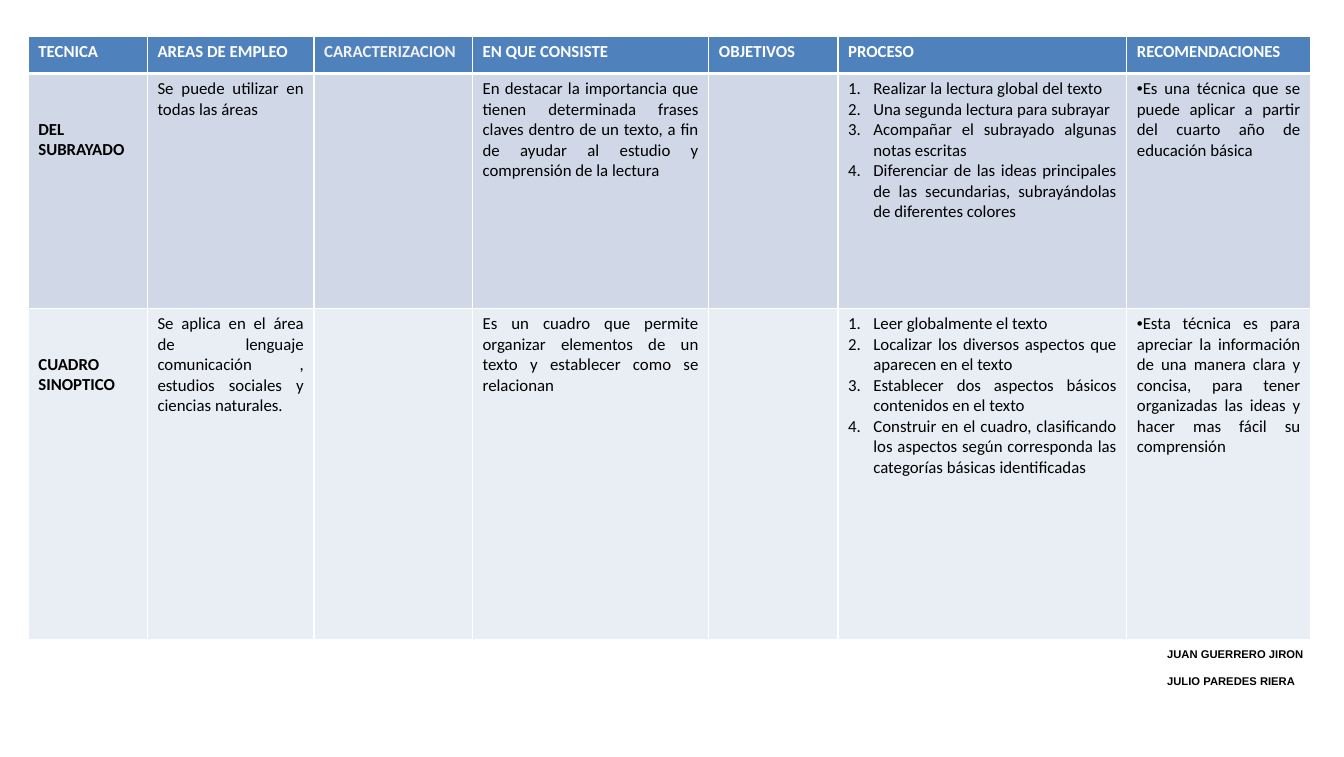
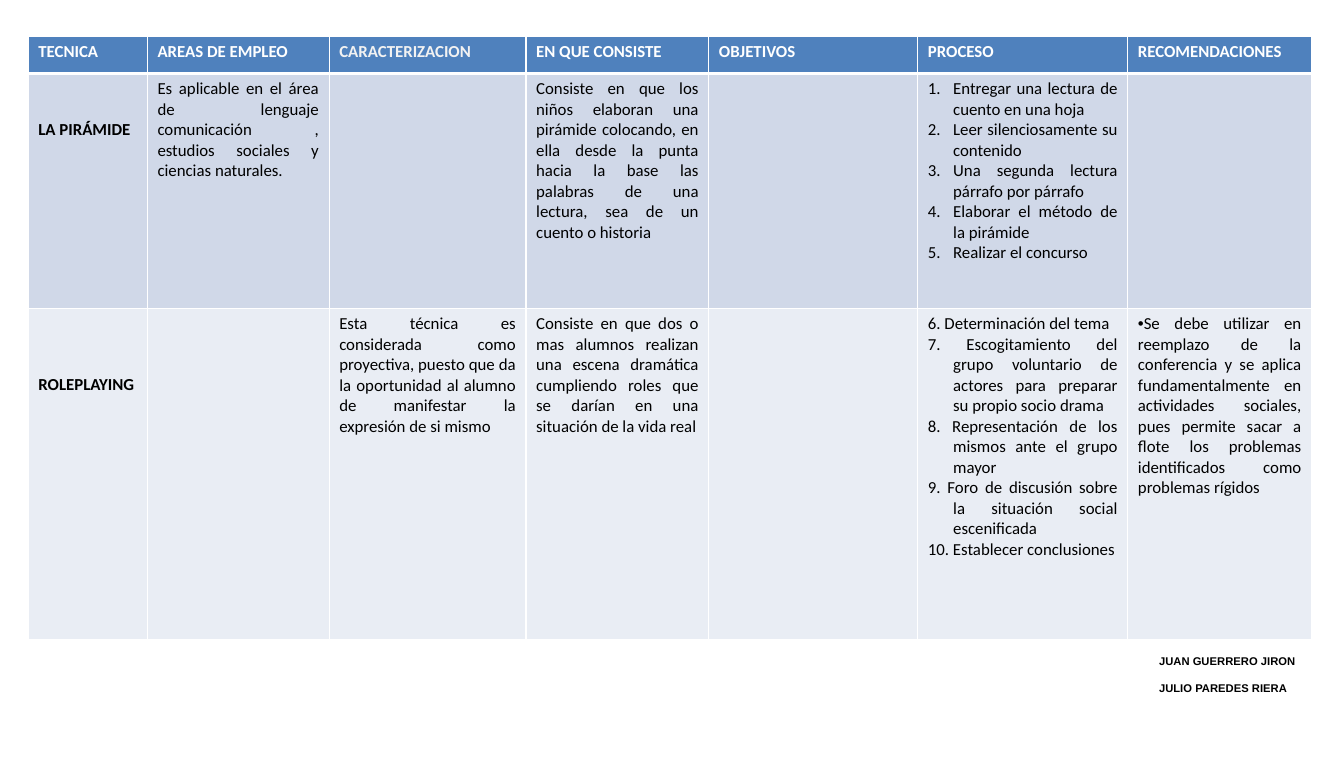
"""Build two slides of tables that compare study techniques."""
from dataclasses import dataclass
from enum import Enum

from lxml.etree import SubElement
from pptx import Presentation
from pptx.dml.color import RGBColor
from pptx.enum.text import MSO_ANCHOR, PP_ALIGN
from pptx.oxml.ns import qn
from pptx.slide import Slide
from pptx.table import _Cell
from pptx.text.text import _Paragraph
from pptx.util import Inches, Pt


@dataclass(frozen=True)
class Theme:
    """Colours, fonts and type sizes of the deck."""

    head: str = "4F81BD"
    bands: tuple[str, ...] = ("D0D8E8", "E9EDF4")
    white: str = "FFFFFF"
    pale: str = "F2F2F2"
    ink: str = "000000"
    font: str = "Calibri"
    size: float = 12
    foot_font: str = "Arial"
    foot_size: float = 8
    thin: float = 1
    thick: float = 3
    line: float = 0.2


class Mark(Enum):
    """How the paragraphs of a cell begin."""

    PLAIN = 0
    AUTO = 1
    TYPED = 2
    DOT = 3


@dataclass(frozen=True)
class Entry:
    """Text of one cell, with its list mark."""

    lines: tuple[str, ...] = ()
    mark: Mark = Mark.PLAIN


@dataclass(frozen=True)
class Method:
    """One row: a technique, the lines it drops and its details."""

    name: str
    drop: int
    cells: tuple[Entry, ...]


@dataclass(frozen=True)
class Page:
    """One slide: column widths, rows and place of the names."""

    widths: tuple[float, ...]
    rows: tuple[Method, ...]
    left: float
    top: float


THEME = Theme()
HEADS = ("TECNICA", "AREAS DE EMPLEO", "CARACTERIZACION", "EN QUE CONSISTE",
         "OBJETIVOS", "PROCESO", "RECOMENDACIONES")
HEIGHTS = (0.37, 2.33, 3.28)
NAMES = ("JUAN GUERRERO JIRON", "JULIO PAREDES RIERA")


def plain(text: str) -> Entry:
    """Return a cell of plain text."""
    return Entry((text,))


def steps(*lines: str) -> Entry:
    """Return a cell of steps with automatic numbers."""
    return Entry(lines, Mark.AUTO)


def typed(*lines: str) -> Entry:
    """Return a cell of steps that carry their own numbers."""
    return Entry(lines, Mark.TYPED)


def dot(text: str) -> Entry:
    """Return a cell with one bullet."""
    return Entry((text,), Mark.DOT)


NONE = Entry()

PAGES = (
    Page((1.18, 1.65, 1.57, 2.34, 1.28, 2.86, 1.82), (
        Method("DEL SUBRAYADO", 2, (
            plain("Se puede utilizar en todas las áreas"),
            NONE,
            plain("En destacar la importancia que tienen determinada frases claves "
                  "dentro de un texto, a fin de ayudar al estudio y comprensión "
                  "de la lectura"),
            NONE,
            steps("Realizar la lectura global del texto",
                  "Una segunda lectura para subrayar",
                  "Acompañar el subrayado algunas notas escritas",
                  "Diferenciar de las ideas principales de las secundarias, "
                  "subrayándolas de diferentes colores"),
            dot("Es una técnica que se puede aplicar a partir del cuarto año "
                "de educación básica"))),
        Method("CUADRO SINOPTICO", 2, (
            plain("Se aplica en el área de lenguaje comunicación , estudios "
                  "sociales y ciencias naturales."),
            NONE,
            plain("Es un cuadro que permite organizar elementos de un texto y "
                  "establecer como se relacionan"),
            NONE,
            steps("Leer globalmente el texto",
                  "Localizar los diversos aspectos que aparecen en el texto",
                  "Establecer dos aspectos básicos contenidos en el texto",
                  "Construir en el cuadro, clasificando los aspectos según "
                  "corresponda las categorías básicas identificadas"),
            dot("Esta técnica es para apreciar la información de una manera clara "
                "y concisa, para tener organizadas las ideas y hacer mas fácil "
                "su comprensión"))),
    ), 11.46, 6.51),
    Page((1.18, 1.8, 1.95, 1.81, 2.07, 2.08, 1.82), (
        Method("LA PIRÁMIDE", 2, (
            plain("Es aplicable en el área de lenguaje comunicación , estudios "
                  "sociales y ciencias naturales."),
            NONE,
            plain("Consiste en que los niños elaboran una pirámide colocando, en "
                  "ella desde la punta hacia la base las palabras de una lectura, "
                  "sea de un cuento o historia"),
            NONE,
            steps("Entregar una lectura de cuento en una hoja",
                  "Leer silenciosamente su contenido",
                  "Una segunda lectura párrafo por párrafo",
                  "Elaborar el método de la pirámide",
                  "Realizar el concurso"),
            NONE)),
        Method("ROLEPLAYING", 3, (
            NONE,
            plain("Esta técnica es considerada como proyectiva, puesto que da la "
                  "oportunidad al alumno de manifestar la expresión de si mismo"),
            plain("Consiste en que dos o mas alumnos realizan una escena dramática "
                  "cumpliendo roles que se darían en una situación de la vida real"),
            NONE,
            typed("6. Determinación del tema",
                  "7. Escogitamiento del grupo voluntario de actores para "
                  "preparar su propio socio drama",
                  "8. Representación de los mismos ante el grupo mayor",
                  "9. Foro de discusión sobre la situación social escenificada",
                  "10. Establecer conclusiones"),
            dot("Se debe utilizar en reemplazo de la conferencia y se aplica "
                "fundamentalmente en actividades sociales, pues permite sacar a "
                "flote los problemas identificados como problemas rígidos"))),
    ), 11.38, 6.58),
)


def style(para: _Paragraph, font: str, size: float, color: str, bold: bool) -> None:
    """Format every run of a paragraph."""
    for run in para.runs:
        run.font.name = font
        run.font.size = Pt(size)
        run.font.bold = bold
        run.font.color.rgb = RGBColor.from_string(color)


def indent(para: _Paragraph, mark: Mark) -> None:
    """Give a paragraph the indent and bullet of its mark."""
    if mark is Mark.PLAIN:
        return
    props = para._p.get_or_add_pPr()
    hang = Inches(0 if mark is Mark.DOT else 0.25)
    props.set("marL", str(hang))
    props.set("indent", str(-hang))
    if mark is Mark.AUTO:
        SubElement(props, qn("a:buAutoNum"), type="arabicPeriod")
    elif mark is Mark.DOT:
        SubElement(props, qn("a:buFont"), typeface=THEME.foot_font)
        SubElement(props, qn("a:buChar"), char="•")


def paint(cell: _Cell, fill: str, top: float, base: float) -> None:
    """Fill a cell and draw its white borders."""
    cell.fill.solid()
    cell.fill.fore_color.rgb = RGBColor.from_string(fill)
    props = cell._tc.get_or_add_tcPr()
    sides = {"L": THEME.thin, "R": THEME.thin, "T": top, "B": base}
    for place, (side, width) in enumerate(sides.items()):
        edge = SubElement(props, qn(f"a:ln{side}"), w=str(Pt(width)))
        solid = SubElement(edge, qn("a:solidFill"))
        SubElement(solid, qn("a:srgbClr"), val=THEME.white)
        props.insert(place, edge)


def write(cell: _Cell, entry: Entry, color: str = THEME.ink, bold: bool = False,
          align: PP_ALIGN = PP_ALIGN.JUSTIFY) -> None:
    """Put the text of an entry in a cell."""
    cell.text_frame.text = "\n".join(entry.lines)
    for para in cell.text_frame.paragraphs:
        para.alignment = align
        indent(para, entry.mark)
        style(para, THEME.font, THEME.size, color, bold)


def add_grid(slide: Slide, page: Page) -> None:
    """Draw the table of a page."""
    grid = slide.shapes.add_table(
        len(HEIGHTS), len(HEADS), Inches(0.28), Inches(0.36),
        Inches(sum(page.widths)), Inches(sum(HEIGHTS))).table
    for column, width in zip(grid.columns, page.widths):
        column.width = Inches(width)
    for row, height in zip(grid.rows, HEIGHTS):
        row.height = Inches(height)
    for cell, head in zip(grid.rows[0].cells, HEADS):
        paint(cell, THEME.head, THEME.thin, THEME.thick)
        color = THEME.pale if head == "CARACTERIZACION" else THEME.white
        write(cell, plain(head), color, True)
    for index, (method, fill) in enumerate(zip(page.rows, THEME.bands), 1):
        cells = list(grid.rows[index].cells)
        for cell in cells:
            paint(cell, fill, THEME.thick if index == 1 else THEME.thin, THEME.thin)
        write(cells[0], plain(method.name), bold=True, align=PP_ALIGN.LEFT)
        cells[0].margin_top = Inches(0.05 + method.drop * THEME.line)
        for cell, entry in zip(cells[1:], method.cells):
            write(cell, entry)


def add_names(slide: Slide, page: Page) -> None:
    """Write the names of the authors below the table."""
    box = slide.shapes.add_textbox(
        Inches(page.left), Inches(page.top), Inches(2.13), Inches(0.35))
    frame = box.text_frame
    frame.word_wrap = True
    frame.vertical_anchor = MSO_ANCHOR.BOTTOM
    frame.text = "\n".join(NAMES)
    for para in frame.paragraphs:
        style(para, THEME.foot_font, THEME.foot_size, THEME.ink, True)
    frame.paragraphs[1].space_before = Pt(9.2)


def main() -> None:
    """Build the deck and save it."""
    deck = Presentation()
    deck.slide_width, deck.slide_height = Inches(13.31), Inches(7.5)
    for page in PAGES:
        slide = deck.slides.add_slide(deck.slide_layouts[6])
        add_grid(slide, page)
        add_names(slide, page)
    deck.save("out.pptx")


if __name__ == "__main__":
    main()
